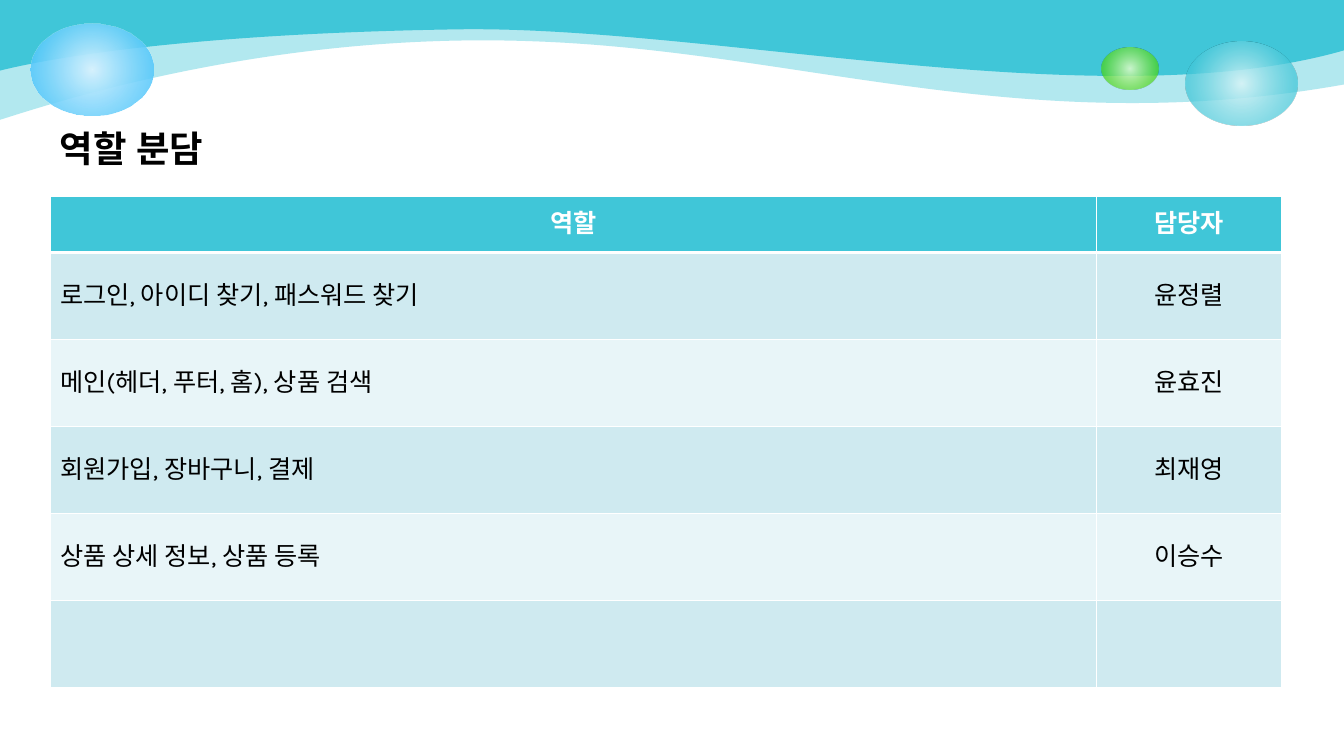
from dataclasses import dataclass

from lxml import etree
from pptx import Presentation
from pptx import util as u
from pptx.dml.color import RGBColor
from pptx.enum import lang, shapes, text
from pptx.oxml import parse_xml
from pptx.oxml.ns import nsdecls, qn


@dataclass(frozen=True)
class Theme:
    font: str = "Karla"
    title_size: int = 26
    table_size: int = 18
    ink: str = "000000"
    white: str = "FFFFFF"
    teal: str = "40C6D8"
    bands: tuple = ("CFEAF0", "E8F5F8")
    # Each stop: position %, colour, opacity %
    teal_bubble: tuple = ((0, "D9F4F7", 90), (76, "40C6D8", 70))
    green_bubble: tuple = ((0, "DAFACD", 90), (76, "4CD416", 70))
    blue_bubble: tuple = ((0, "D6F2FE", 100), (100, "33BDFB", 80))


THEME = Theme()
SLIDE_WIDTH, SLIDE_HEIGHT = 33.87, 19.05

# Lower edge of each wave in cm: start, (control, control, end) curves, opacity %
WAVES = [
    ((0, 3.02), [((1.12, 2.67), (6.68, 0.79), (13.41, 1.04)),
                 ((20.17, 1.27), (25.81, 3.56), (33.87, 2.13))], 40),
    ((0, 1.78), [((1.52, 1.4), (5.16, 0.84), (11.53, 0.74)),
                 ((17.91, 0.64), (27.79, 3.02), (33.87, 1.27))], 100),
]
BUBBLES = [
    ((29.89, 1.06, 2.82, 2.11), THEME.teal_bubble),
    ((27.76, 1.19, 1.43, 1.07), THEME.green_bubble),
    ((0.78, 0.59, 3.08, 2.31), THEME.blue_bubble),
]
HEADINGS = ("역할", "담당자")
DUTIES = [
    ("로그인, 아이디 찾기, 패스워드 찾기", "윤정렬"),
    ("메인(헤더, 푸터, 홈), 상품 검색", "윤효진"),
    ("회원가입, 장바구니, 결제", "최재영"),
    ("상품 상세 정보, 상품 등록", "이승수"),
    ("", ""),
]


def cm_box(box):
    return [u.Cm(length) for length in box]


def apply_format(target, values):
    for name, value in values.items():
        setattr(target, name, value)


def write(paragraph, words, size, color, bold, align=text.PP_ALIGN.LEFT):
    paragraph.alignment = align
    if not words:
        return
    run = paragraph.add_run()
    run.text = words
    apply_format(run.font, {"name": THEME.font, "size": u.Pt(size), "bold": bold,
                            "language_id": lang.MSO_LANGUAGE_ID.KOREAN})
    run.font.color.rgb = RGBColor.from_string(color)
    for script in ("a:ea", "a:cs"):
        etree.SubElement(run.font._rPr, qn(script), typeface=THEME.font)


def bend_segments(outline, curve_count):
    """Turn each three straight segments after the first into one Bézier curve."""
    segments = outline.findall(".//" + qn("a:lnTo"))[1:]
    for index in range(curve_count):
        trio = segments[3 * index:3 * index + 3]
        curve = etree.Element(qn("a:cubicBezTo"))
        trio[0].addprevious(curve)
        for segment in trio:
            curve.append(segment[0])
            segment.getparent().remove(segment)


def add_wave(slide, box, start, curves, opacity):
    left, top, width = box
    edge = [start] + [point for curve in curves for point in curve] + [(width, 0)]
    builder = slide.shapes.build_freeform(u.Cm(left), u.Cm(top))
    builder.add_line_segments([(u.Cm(left + x), u.Cm(top + y)) for x, y in edge])
    wave = builder.convert_to_shape()
    bend_segments(wave.element.spPr, len(curves))
    wave.shadow.inherit = False
    wave.line.fill.background()
    wave.fill.solid()
    wave.fill.fore_color.rgb = RGBColor.from_string(THEME.teal)
    if opacity < 100:
        color = wave.element.spPr.find(qn("a:solidFill"))[0]
        etree.SubElement(color, qn("a:alpha"), val=str(opacity * 1000))


def add_bubble(slide, box, stops):
    """Draw an ellipse whose gradient radiates from its centre."""
    bubble = slide.shapes.add_shape(shapes.MSO_SHAPE.OVAL, *cm_box(box))
    bubble.shadow.inherit = False
    bubble.line.fill.background()
    stop_xml = "".join(
        f'<a:gs pos="{place * 1000}"><a:srgbClr val="{color}">'
        f'<a:alpha val="{opacity * 1000}"/></a:srgbClr></a:gs>'
        for place, color, opacity in stops)
    gradient = parse_xml(
        f'<a:gradFill {nsdecls("a")} rotWithShape="1"><a:gsLst>{stop_xml}</a:gsLst>'
        '<a:path path="circle"><a:fillToRect l="50000" t="50000" r="50000" '
        'b="50000"/></a:path></a:gradFill>')
    bubble.element.spPr.find(qn("a:prstGeom")).addnext(gradient)


def add_header_art(slide, box):
    left, top, _ = box
    for wave in WAVES:
        add_wave(slide, box, *wave)
    for (x, y, width, height), stops in BUBBLES:
        add_bubble(slide, (left + x, top + y, width, height), stops)


def add_title(slide, box):
    frame = slide.shapes.add_textbox(*cm_box(box)).text_frame
    apply_format(frame, {"word_wrap": True,
                         "auto_size": text.MSO_AUTO_SIZE.SHAPE_TO_FIT_TEXT})
    write(frame.paragraphs[0], "역할 분담", THEME.title_size, THEME.ink, True)


def set_borders(cell, widths):
    properties = cell._tc.get_or_add_tcPr()
    for index, (side, points) in enumerate(widths.items()):
        properties.insert(index, parse_xml(
            f'<a:ln{side} {nsdecls("a")} w="{u.Pt(points)}"><a:solidFill>'
            f'<a:srgbClr val="{THEME.white}"/></a:solidFill></a:ln{side}>'))


def add_duty_table(slide, box, heading_height=1.42, person_width=4.67):
    width, height = box[2:]
    rows = [HEADINGS] + DUTIES
    table = slide.shapes.add_table(len(rows), len(HEADINGS), *cm_box(box)).table
    table.columns[0].width = u.Cm(width - person_width)
    table.columns[1].width = u.Cm(person_width)
    duty_height = (height - heading_height) / len(DUTIES)
    for r, entries in enumerate(rows):
        heading = r == 0
        table.rows[r].height = u.Cm(heading_height if heading else duty_height)
        for c, words in enumerate(entries):
            cell = table.cell(r, c)
            cell.vertical_anchor = text.MSO_ANCHOR.MIDDLE
            cell.fill.solid()
            cell.fill.fore_color.rgb = RGBColor.from_string(
                THEME.teal if heading else THEME.bands[(r - 1) % 2])
            set_borders(cell, {"L": 1, "R": 1, "T": 3 if r == 1 else 1,
                               "B": 3 if heading else 1})
            centred = heading or c == 1
            write(cell.text_frame.paragraphs[0], words, THEME.table_size,
                  THEME.white if heading else THEME.ink, heading,
                  text.PP_ALIGN.CENTER if centred else text.PP_ALIGN.LEFT)


def main():
    deck = Presentation()
    apply_format(deck, {"slide_width": u.Cm(SLIDE_WIDTH),
                        "slide_height": u.Cm(SLIDE_HEIGHT)})
    slide = deck.slides.add_slide(deck.slide_layouts[6])
    add_header_art(slide, (0, 0, SLIDE_WIDTH))
    add_duty_table(slide, (1.26, 4.94, 31.04, 12.39))
    add_title(slide, (1.26, 3.05, 26.24, 1.37))
    deck.save("out.pptx")


if __name__ == "__main__":
    main()
